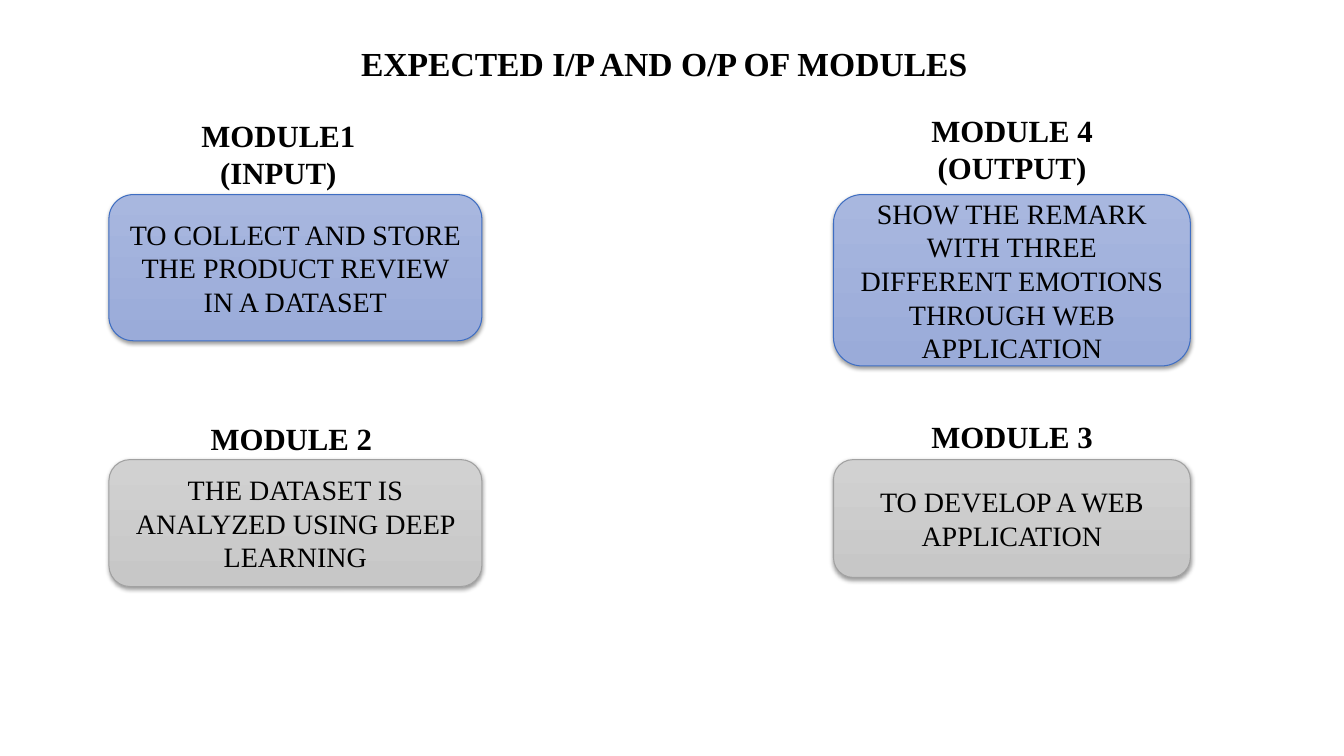
from lxml.etree import SubElement
from pptx import Presentation
from pptx.dml.color import RGBColor
from pptx.enum.shapes import MSO_SHAPE
from pptx.enum.text import MSO_ANCHOR, MSO_AUTO_SIZE, PP_ALIGN
from pptx.oxml.ns import qn
from pptx.util import Pt

FONT = "Times New Roman"
BLUE = ("A8B7DF", "9AABD9", "3F6EC2")  # top, bottom, outline
GRAY = ("D1D1D1", "C7C7C7", "A1A1A1")
LEFT_COLUMN = (77.8, 266.4)  # left, width
RIGHT_COLUMN = (595.4, 254.9)
TOP_ROW, BOTTOM_ROW = 139, 328.3
HEADING_WIDTH = 177.1


def color(hex_code):
    return RGBColor.from_string(hex_code)


def write(frame, lines, size, bold=False):
    frame.word_wrap = True
    frame.text = "\n".join(lines)
    for paragraph in frame.paragraphs:
        paragraph.alignment = PP_ALIGN.CENTER
        paragraph.font.name = FONT
        paragraph.font.size = Pt(size)
        paragraph.font.bold = bold
        paragraph.font.color.rgb = color("000000")


def add_soft_shadow(shape):
    shape.shadow.inherit = False
    effects = shape._element.spPr.find(qn("a:effectLst"))
    shadow = SubElement(effects, qn("a:outerShdw"), blurRad=str(Pt(3.1)),
                        dist=str(Pt(1.6)), dir="5400000", rotWithShape="0")
    black = SubElement(shadow, qn("a:srgbClr"), val="000000")
    SubElement(black, qn("a:alpha"), val="38000")


def add_title(slide, text, left, top, width, height):
    title = slide.shapes.title
    title.left, title.top = Pt(left), Pt(top)
    title.width, title.height = Pt(width), Pt(height)
    write(title.text_frame, [text], 24, bold=True)
    title.text_frame.vertical_anchor = MSO_ANCHOR.MIDDLE
    title.text_frame.paragraphs[0].line_spacing = 0.9


def add_module(slide, heading, task, palette, box, heading_height, shift):
    """Draw a task card in box, with its heading above, moved by shift (x, y)."""
    left, top, width, height = box
    card = slide.shapes.add_shape(MSO_SHAPE.ROUNDED_RECTANGLE,
                                  Pt(left), Pt(top), Pt(width), Pt(height))
    card.fill.gradient()
    card.fill.gradient_angle = 270
    for stop, shade in zip(card.fill.gradient_stops, palette):
        stop.color.rgb = color(shade)
    card.line.color.rgb = color(palette[2])
    card.line.width = Pt(0.75)
    add_soft_shadow(card)
    write(card.text_frame, [task], 20)
    card.text_frame.vertical_anchor = MSO_ANCHOR.MIDDLE

    label = slide.shapes.add_textbox(
        Pt(left + (width - HEADING_WIDTH) / 2 + shift[0]),
        Pt(top - heading_height + shift[1]),
        Pt(HEADING_WIDTH), Pt(heading_height))
    write(label.text_frame, heading, 22, bold=True)
    label.text_frame.auto_size = MSO_AUTO_SIZE.SHAPE_TO_FIT_TEXT


def main():
    deck = Presentation()
    deck.slide_width, deck.slide_height = Pt(960), Pt(540)
    slide = deck.slides.add_slide(deck.slide_layouts[5])
    add_title(slide, "EXPECTED I/P AND O/P OF MODULES", 60.5, 12.2, 828, 69.1)

    modules = [
        (["MODULE1 (INPUT)"],
         "TO COLLECT AND STORE THE PRODUCT REVIEW IN A DATASET",
         BLUE, LEFT_COLUMN, TOP_ROW, 104.4, 59.8, (-12.2, 0.7)),
        (["MODULE 4", "(OUTPUT)"],
         "SHOW THE REMARK WITH THREE DIFFERENT EMOTIONS THROUGH WEB APPLICATION",
         BLUE, RIGHT_COLUMN, TOP_ROW, 122.4, 59.8, (0, -2.9)),
        (["MODULE 3"], "TO DEVELOP A WEB APPLICATION",
         GRAY, RIGHT_COLUMN, BOTTOM_ROW, 84.2, 33.1, (0, -0.7)),
        (["MODULE 2"], "THE DATASET IS ANALYZED USING DEEP LEARNING",
         GRAY, LEFT_COLUMN, BOTTOM_ROW, 90.7, 33.1, (-2.9, 1.4)),
    ]
    for heading, task, palette, (left, width), top, height, rise, shift in modules:
        add_module(slide, heading, task, palette,
                   (left, top, width, height), rise, shift)
    deck.save("out.pptx")


if __name__ == "__main__":
    main()
